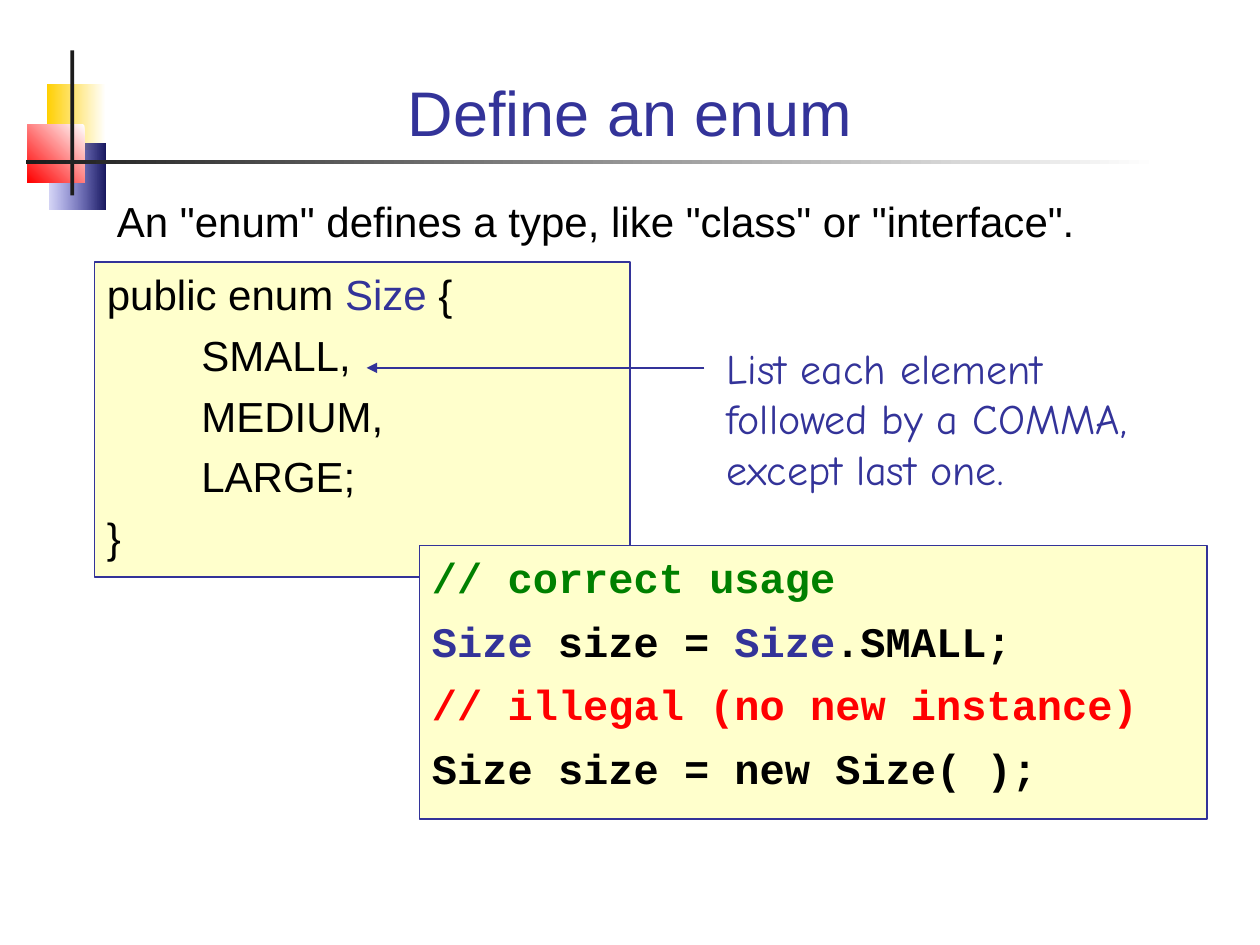
from dataclasses import dataclass
from typing import Optional

from lxml import etree
from pptx import Presentation
from pptx.dml.color import RGBColor
from pptx.enum import shapes, text
from pptx.oxml.ns import qn
from pptx.util import Inches, Pt


@dataclass(frozen=True)
class Theme:
    white: str = "FFFFFF"
    black: str = "000000"
    ink: str = "1C1C1C"
    blue: str = "333399"
    cream: str = "FFFFCC"
    green: str = "008000"
    red: str = "FF0000"
    gold: str = "FFCF01"
    navy: str = "17175E"
    violet: str = "3333CC"
    sans: str = "Arial"
    mono: str = "Courier New"
    hand: str = "Comic Neue"
    title_size: float = 36
    body_size: float = 24
    leading: float = 28.8
    rule: float = 0.75


THEME = Theme()


@dataclass(frozen=True)
class Area:
    left: float
    top: float
    width: float
    height: float

    def lengths(self) -> list:
        return [Inches(n) for n in (self.left, self.top, self.width, self.height)]


@dataclass(frozen=True)
class Ornament:
    area: Area
    start: str
    end: Optional[str] = None  # no end colour means a solid fill
    angle: float = 180  # counter-clockwise
    end_alpha: int = 100


@dataclass(frozen=True)
class Span:
    words: str
    color: str = THEME.black


@dataclass(frozen=True)
class TextBlock:
    area: Area
    lines: list
    font: str = THEME.sans
    size: float = THEME.body_size
    bold: bool = False
    leading: Optional[float] = THEME.leading
    gap: float = 0
    hanging: float = 0
    framed: bool = False
    grow: bool = False
    align: text.PP_ALIGN = text.PP_ALIGN.LEFT
    anchor: text.MSO_ANCHOR = text.MSO_ANCHOR.TOP


def rgb(code: str) -> RGBColor:
    return RGBColor.from_string(code)


def draw_ornament(page, item: Ornament) -> None:
    box = page.shapes.add_shape(shapes.MSO_SHAPE.RECTANGLE, *item.area.lengths())
    box.shadow.inherit = False
    box.line.fill.background()
    if item.end is None:
        box.fill.solid()
        box.fill.fore_color.rgb = rgb(item.start)
        return
    box.fill.gradient()
    box.fill.gradient_angle = item.angle
    for stop, color, position in zip(box.fill.gradient_stops, (item.start, item.end), (0, 1)):
        stop.color.rgb = rgb(color)
        stop.position = position
    if item.end_alpha < 100:
        last_color = list(box._element.spPr.iter(qn("a:srgbClr")))[-1]
        etree.SubElement(last_color, qn("a:alpha"), val=str(item.end_alpha * 1000))


def draw_text(page, block: TextBlock) -> None:
    box = page.shapes.add_textbox(*block.area.lengths())
    if block.framed:
        box.fill.solid()
        box.fill.fore_color.rgb = rgb(THEME.cream)
        box.line.color.rgb = rgb(THEME.blue)
        box.line.width = Pt(THEME.rule)
    frame = box.text_frame
    frame.word_wrap = True
    frame.vertical_anchor = block.anchor
    if block.grow:
        frame.auto_size = text.MSO_AUTO_SIZE.SHAPE_TO_FIT_TEXT
    for number, line in enumerate(block.lines):
        para = frame.add_paragraph() if number else frame.paragraphs[0]
        para.alignment = block.align
        if block.leading:
            para.line_spacing = Pt(block.leading)
        if number:
            para.space_before = Pt(block.gap)
        if block.hanging:
            indent = Inches(block.hanging)
            para._p.get_or_add_pPr().set("marL", str(indent))
            para._p.get_or_add_pPr().set("indent", str(-indent))
        para.font.name = block.font
        para.font.size = Pt(block.size)
        para.font.bold = block.bold
        for span in line:
            run = para.add_run()
            run.text = span.words
            run.font.color.rgb = rgb(span.color)


def draw_arrow(page, start: tuple, end: tuple) -> None:
    arrow = page.shapes.add_connector(
        shapes.MSO_CONNECTOR.STRAIGHT, *[Inches(n) for n in start + end])
    arrow.line.color.rgb = rgb(THEME.blue)
    arrow.line.width = Pt(THEME.rule)
    etree.SubElement(arrow.line._get_or_add_ln(), qn("a:tailEnd"), type="triangle")
    etree.SubElement(arrow._element.spPr, qn("a:effectLst"))


# Squares and crossed bars behind the title
ORNAMENTS = [
    Ornament(Area(0.37, 0.67, 0.47, 0.52), THEME.white, THEME.gold),
    Ornament(Area(0.39, 1.14, 0.45, 0.52), THEME.navy, THEME.violet, end_alpha=20),
    Ornament(Area(0.22, 0.99, 0.45, 0.46), THEME.white, THEME.red, angle=225),
    Ornament(Area(0.56, 0.4, 0.03, 1.15), THEME.ink),
    Ornament(Area(0.21, 1.27, 8.99, 0.03), THEME.white, THEME.ink),
]

TITLE = TextBlock(
    Area(0.67, 0.28, 8.66, 0.95), [[Span("Define an enum", THEME.blue)]],
    size=THEME.title_size, leading=None,
    align=text.PP_ALIGN.CENTER, anchor=text.MSO_ANCHOR.BOTTOM)

TYPE_NAME = Span("Size", THEME.blue)

DEFINITION = TextBlock(
    Area(0.75, 2.08, 4.25, 2.5),
    [[Span("public enum "), TYPE_NAME, Span(" {")],
     *[[Span("\t" + member)] for member in ("SMALL,", "MEDIUM,", "LARGE;")],
     [Span("}")]],
    gap=6, hanging=0.75, framed=True)

INTRO = TextBlock(
    Area(0.83, 1.5, 8.33, 0.5),
    [[Span('An "enum" defines a type, like "class" or "interface".')]], grow=True)

USAGE = TextBlock(
    Area(3.33, 4.33, 6.25, 2.17),
    [[Span("// correct usage", THEME.green)],
     [TYPE_NAME, Span(" size = "), TYPE_NAME, Span(".SMALL;")],
     [Span("// illegal (no new instance)", THEME.red)],
     [Span("Size size = new Size( );")]],
    font=THEME.mono, bold=True, gap=7.5, hanging=0.38, framed=True)

NOTE = TextBlock(
    Area(5.67, 2.67, 3.92, 1.3),
    [[Span("List each element followed by a COMMA, except last one.", THEME.blue)]],
    font=THEME.hand, grow=True)


def main() -> None:
    deck = Presentation()
    deck.slide_width, deck.slide_height = Inches(10), Inches(7.5)
    page = deck.slides.add_slide(deck.slide_layouts[6])
    for item in ORNAMENTS:
        draw_ornament(page, item)
    for block in (TITLE, DEFINITION, INTRO, USAGE, NOTE):
        draw_text(page, block)
    # Pointer from the note to the first element
    draw_arrow(page, (5.59, 2.92), (2.91, 2.92))
    deck.save("out.pptx")


if __name__ == "__main__":
    main()
